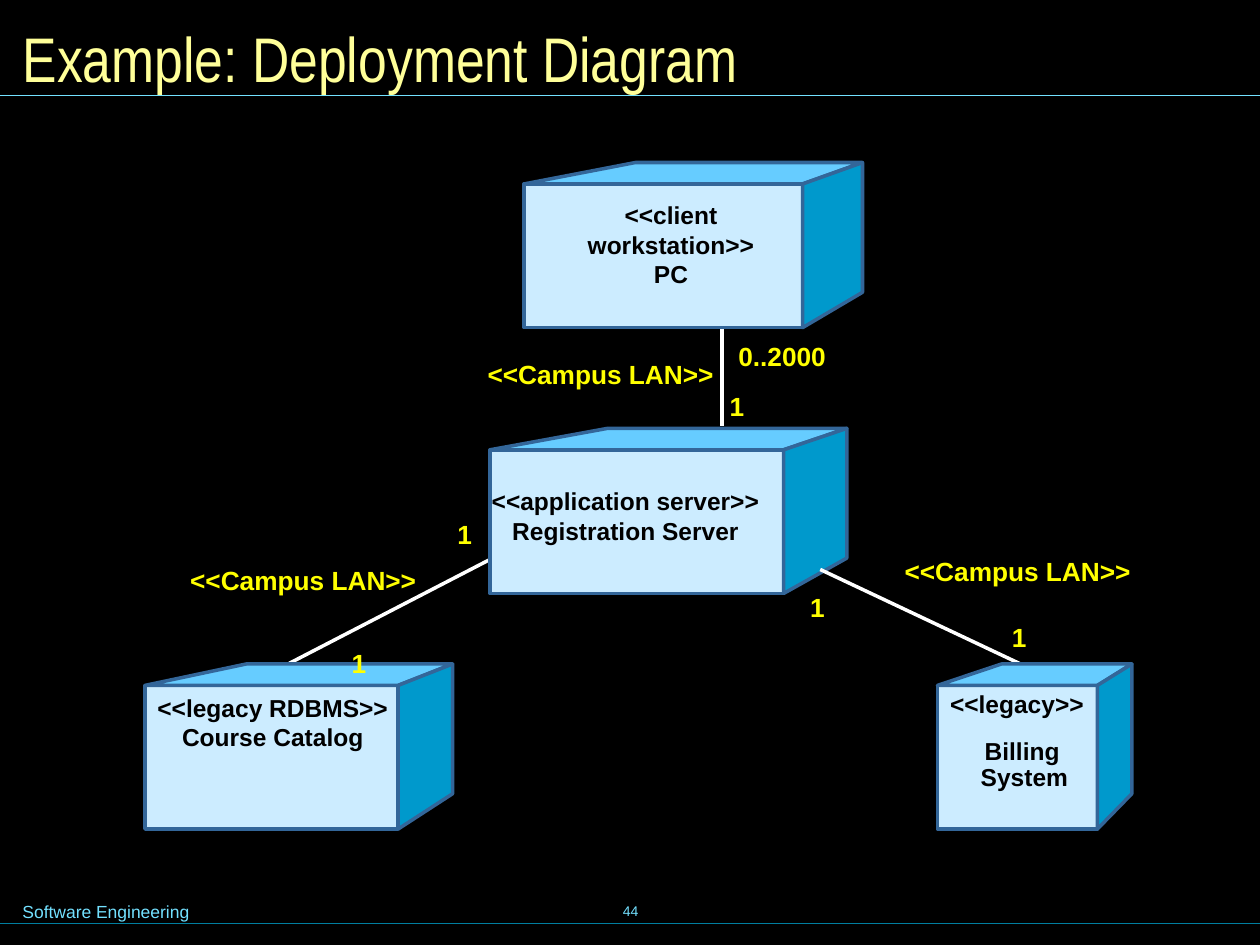
from lxml import etree
from pptx import Presentation
from pptx.dml.color import RGBColor
from pptx.enum.shapes import MSO_CONNECTOR, MSO_SHAPE
from pptx.enum.text import MSO_ANCHOR, PP_ALIGN
from pptx.oxml.ns import qn
from pptx.util import Inches, Pt

STRAIGHT = MSO_CONNECTOR.STRAIGHT
RECTANGLE = MSO_SHAPE.RECTANGLE
MIDDLE, TOP = MSO_ANCHOR.MIDDLE, MSO_ANCHOR.TOP
LEFT, CENTER = PP_ALIGN.LEFT, PP_ALIGN.CENTER

BLACK, WHITE, YELLOW = "000000", "FFFFFF", "FFFF00"
CYAN, DARK_CYAN, PALE_YELLOW = "73E1FF", "007E9F", "FFFF99"
FRONT, LID, SIDE, EDGE = "CCECFF", "66CCFF", "0099CC", "336699"
FACE_HEIGHT, LID_HEIGHT, SIDE_RISE = 1.14, 0.17, 0.28
LID_SHIFT, SIDE_DEPTH = 0.4, 0.215


def color(value):
    """Turn a hex string into a colour."""
    return RGBColor.from_string(value)


def format_text(text_frame, size, text_color, font="Arial", bold=False, align=LEFT):
    """Format every paragraph and run of a text frame."""
    for paragraph in text_frame.paragraphs:
        paragraph.alignment = align
        for run in paragraph.runs:
            run.font.name = font
            run.font.size = Pt(size)
            run.font.bold = bold
            run.font.color.rgb = color(text_color)


def set_margins(text_frame, horizontal, vertical):
    """Set the inner margins of a text frame."""
    text_frame.margin_left = text_frame.margin_right = Inches(horizontal)
    text_frame.margin_top = text_frame.margin_bottom = Inches(vertical)


def add_text(slide, box, text, size, text_color, bold=True, align=LEFT,
             wrap=False, margins=(0, 0), anchor=TOP):
    """Add a text box at the given box."""
    text_frame = slide.shapes.add_textbox(*map(Inches, box)).text_frame
    text_frame.text = text
    text_frame.word_wrap = wrap
    text_frame.vertical_anchor = anchor
    set_margins(text_frame, *margins)
    format_text(text_frame, size, text_color, bold=bold, align=align)


def add_line(slide, start, end, line_color, width):
    """Add a straight line without shadow."""
    line = slide.shapes.add_connector(STRAIGHT, *map(Inches, start + end))
    line.line.color.rgb = color(line_color)
    line.line.width = Pt(width)
    etree.SubElement(line._element.spPr, qn("a:effectLst"))


def paint(shape, fill):
    """Give a face of a node its fill and edge."""
    shape.shadow.inherit = False
    shape.fill.solid()
    shape.fill.fore_color.rgb = color(fill)
    shape.line.color.rgb = color(EDGE)
    shape.line.width = Pt(2)


def add_polygon(slide, points, fill):
    """Add a closed polygon through the points."""
    corners = [(Inches(x), Inches(y)) for x, y in points]
    builder = slide.shapes.build_freeform(*corners[0])
    builder.add_line_segments(corners[1:], close=True)
    paint(builder.convert_to_shape(), fill)


def add_node(slide, left, top, width, captions):
    """Draw a node as a block with its front face at the given place."""
    right, bottom = left + width, top + FACE_HEIGHT
    back_right, back_top = right + SIDE_DEPTH * width, top - LID_HEIGHT
    box = map(Inches, (left, top, width, FACE_HEIGHT))
    paint(slide.shapes.add_shape(RECTANGLE, *box), FRONT)
    add_polygon(slide, [(left, top), (left + LID_SHIFT * width, back_top),
                        (back_right, back_top), (right, top)], LID)
    add_polygon(slide, [(right, top), (back_right, back_top),
                        (back_right, bottom - SIDE_RISE), (right, bottom)], SIDE)
    for x, y, text_width, height, text, align, wrap in captions:
        add_text(slide, (left + x, top + y, text_width, height), text, 14, BLACK,
                 align=align, wrap=wrap)


def add_frame(slide):
    """Add the title, the rules and the footer."""
    add_text(slide, (3.42, 6.98, 3.17, 0.5), "44", 8, CYAN, bold=False,
             align=CENTER, margins=(0.1, 0.05), anchor=MIDDLE)
    add_line(slide, (0, 7.33), (10, 7.33), DARK_CYAN, 0.75)
    add_line(slide, (0, 0.76), (10, 0.76), CYAN, 0.75)
    add_text(slide, (0.08, 7.1, 2.95, 0.27), "Software Engineering", 10, CYAN,
             bold=False, wrap=True, margins=(0.1, 0.05))
    title = slide.shapes.title
    title.left, title.top, title.width, title.height = map(
        Inches, (0.08, 0.08, 9.84, 0.75))
    title.text_frame.text = "Example: Deployment Diagram"
    title.text_frame.vertical_anchor = MIDDLE
    set_margins(title.text_frame, 0.1, 0.05)
    format_text(title.text_frame, 36, PALE_YELLOW, font="Arial Narrow")


def add_diagram(slide):
    """Add the nodes, their links and the link labels."""
    add_line(slide, (5.73, 2.59), (5.73, 3.38), WHITE, 2)
    add_line(slide, (3.89, 4.44), (2.17, 5.33), WHITE, 2)
    add_node(slide, 1.15, 5.44, 2.01, [
        (0.04, 0.06, 1.95, 0.47, "<<legacy RDBMS>>\nCourse Catalog", CENTER, True)])
    add_node(slide, 3.89, 3.57, 2.33, [
        (0.01, 0.29, 2.13, 0.47, "<<application server>>\nRegistration Server",
         CENTER, False)])
    add_node(slide, 4.16, 1.46, 2.21, [
        (0.11, 0.13, 2.11, 0.7, "<<client workstation>>\nPC", CENTER, True)])
    add_line(slide, (6.51, 4.52), (8.27, 5.35), WHITE, 2)
    add_node(slide, 7.44, 5.44, 1.27, [
        (0.08, 0.4, 1.24, 0.23, "Billing ", CENTER, True),
        (0.08, 0.61, 1.22, 0.23, "System", CENTER, True),
        (0.1, 0.03, 1.15, 0.23, "<<legacy>>", LEFT, True)])
    for left, top in [(3.87, 2.84), (7.18, 4.41), (1.51, 4.48)]:
        add_text(slide, (left, top, 1.8, 0.25), "<<Campus LAN>>", 15, YELLOW)
    add_text(slide, (5.86, 2.7, 0.7, 0.25), "0..2000", 15, YELLOW)
    for left, top in [(5.79, 3.1), (2.79, 5.14), (3.63, 4.11), (6.43, 4.69), (8.03, 4.93)]:
        add_text(slide, (left, top, 0.12, 0.25), "1", 15, YELLOW)


def main():
    """Build and save the presentation."""
    presentation = Presentation()
    presentation.slide_width, presentation.slide_height = Inches(10), Inches(7.5)
    slide = presentation.slides.add_slide(presentation.slide_layouts[5])
    slide.background.fill.solid()
    slide.background.fill.fore_color.rgb = color(BLACK)
    add_frame(slide)
    add_diagram(slide)
    presentation.save("out.pptx")


if __name__ == "__main__":
    main()
